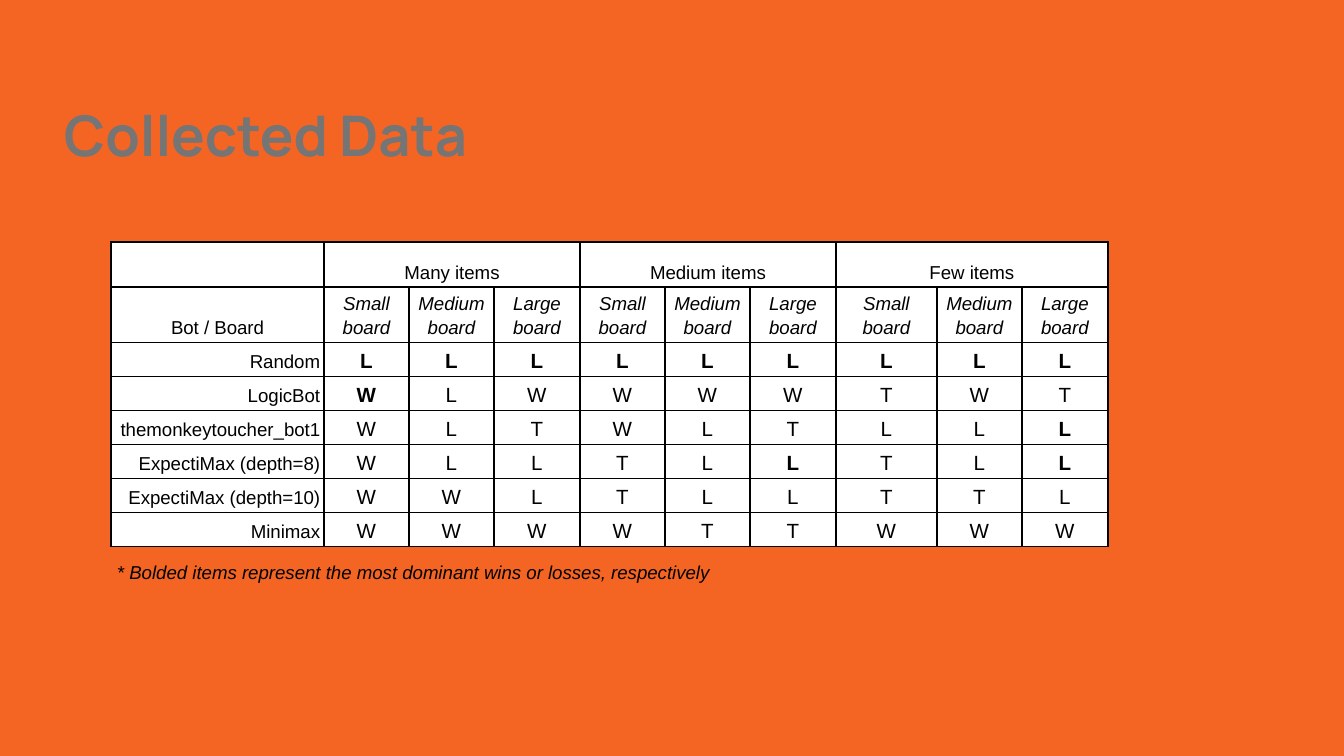
from lxml.etree import SubElement
from pptx import Presentation
from pptx.dml.color import RGBColor
from pptx.enum.text import MSO_ANCHOR, PP_ALIGN
from pptx.oxml.ns import qn
from pptx.util import Pt

SCALE = 9144000 / 1344  # EMU in one px
COLORS = {"page": "F46524", "title": "757575", "ink": "000000", "cell": "FFFFFF"}

# Text formats
TITLE = {"name": "Manrope", "size": Pt(30), "bold": True}
LABEL = {"name": "Arial", "size": Pt(10), "bold": False}
BOARD = {**LABEL, "italic": True}
SCORE = {**LABEL, "size": Pt(11)}
DOMINANT = {**SCORE, "bold": True}

# Table content; a star marks a dominant (bold) result
ITEMS = ["Many items", "Medium items", "Few items"]
BOARDS = ["Small board", "Medium board", "Large board"]
RESULTS = {
    "Random": "L* L* L* L* L* L* L* L* L*",
    "LogicBot": "W* L W W W W T W T",
    "themonkeytoucher_bot1": "W L T W L T L L L*",
    "ExpectiMax (depth=8)": "W L L T L L* T L L*",
    "ExpectiMax (depth=10)": "W W L T L L T T L",
    "Minimax": "W W W W T T W W W",
}
WIDTHS = [213] + [85, 85, 86] * 2 + [101, 85, 86]
HEIGHTS = [45, 55] + [34] * len(RESULTS)


def px(count):
    return round(count * SCALE)


def paint(fill, key):
    fill.solid()
    fill.fore_color.rgb = RGBColor.from_string(COLORS[key])


def style(font, look, key="ink"):
    for name, value in look.items():
        setattr(font, name, value)
    font.color.rgb = RGBColor.from_string(COLORS[key])


def inset(frame, gap, top):
    gaps = {"left": gap, "right": gap, "top": top, "bottom": gap}
    for side, value in gaps.items():
        setattr(frame, f"margin_{side}", px(value))


def add_text(slide, box, text, look, key, anchor):
    frame = slide.shapes.add_textbox(*map(px, box)).text_frame
    frame.word_wrap = True
    frame.vertical_anchor = anchor
    inset(frame, 13, 13)
    run = frame.paragraphs[0].add_run()
    run.text = text
    style(run.font, look, key)


def add_border(cell):
    props = cell._tc.get_or_add_tcPr()
    for side in "LRTB":
        line = SubElement(props, qn(f"a:ln{side}"), w=str(Pt(1)))
        fill = SubElement(line, qn("a:solidFill"))
        SubElement(fill, qn("a:srgbClr"), val=COLORS["ink"])


def fill_cell(cell, text, look, align=PP_ALIGN.CENTER):
    cell.text = text
    para = cell.text_frame.paragraphs[0]
    para.alignment = align
    para.line_spacing = 1.15
    for run in para.runs:
        style(run.font, look)


def add_grid(slide, left, top):
    size = len(HEIGHTS), len(WIDTHS)
    box = left, top, sum(WIDTHS), sum(HEIGHTS)
    grid = slide.shapes.add_table(*size, *map(px, box)).table
    for col, width in zip(grid.columns, WIDTHS):
        col.width = px(width)
    for row, height in zip(grid.rows, HEIGHTS):
        row.height = px(height)

    # Shared look of all cells; no top inset, so that rows keep their height
    for cell in grid.iter_cells():
        cell.vertical_anchor = MSO_ANCHOR.BOTTOM
        inset(cell, 4, 0)
        add_border(cell)
        paint(cell.fill, "cell")

    # Two header rows
    grid.cell(0, 0).text_frame.paragraphs[0].font.size = LABEL["size"]
    fill_cell(grid.cell(1, 0), "Bot / Board", LABEL)
    for group, item in enumerate(ITEMS):
        first = 1 + group * len(BOARDS)
        head = grid.cell(0, first)
        head.merge(grid.cell(0, first + len(BOARDS) - 1))
        fill_cell(head, item, LABEL)
        for col, board in enumerate(BOARDS, first):
            fill_cell(grid.cell(1, col), board, BOARD)

    # One row for each bot
    for row, (bot, scores) in enumerate(RESULTS.items(), 2):
        fill_cell(grid.cell(row, 0), bot, LABEL, PP_ALIGN.RIGHT)
        for col, score in enumerate(scores.split(), 1):
            look = DOMINANT if score.endswith("*") else SCORE
            fill_cell(grid.cell(row, col), score[0], look)


def main():
    deck = Presentation()
    deck.slide_width, deck.slide_height = px(1344), px(756)
    slide = deck.slides.add_slide(deck.slide_layouts[6])
    paint(slide.background.fill, "page")

    # Title, table and footnote
    add_text(slide, (51, 39, 1277, 142), "Collected Data",
             TITLE, "title", MSO_ANCHOR.BOTTOM)
    add_grid(slide, 111, 242)
    add_text(slide, (104, 352, 841, 441),
             "* Bolded items represent the most dominant wins or losses, respectively",
             BOARD, "ink", MSO_ANCHOR.MIDDLE)
    deck.save("out.pptx")


if __name__ == "__main__":
    main()
